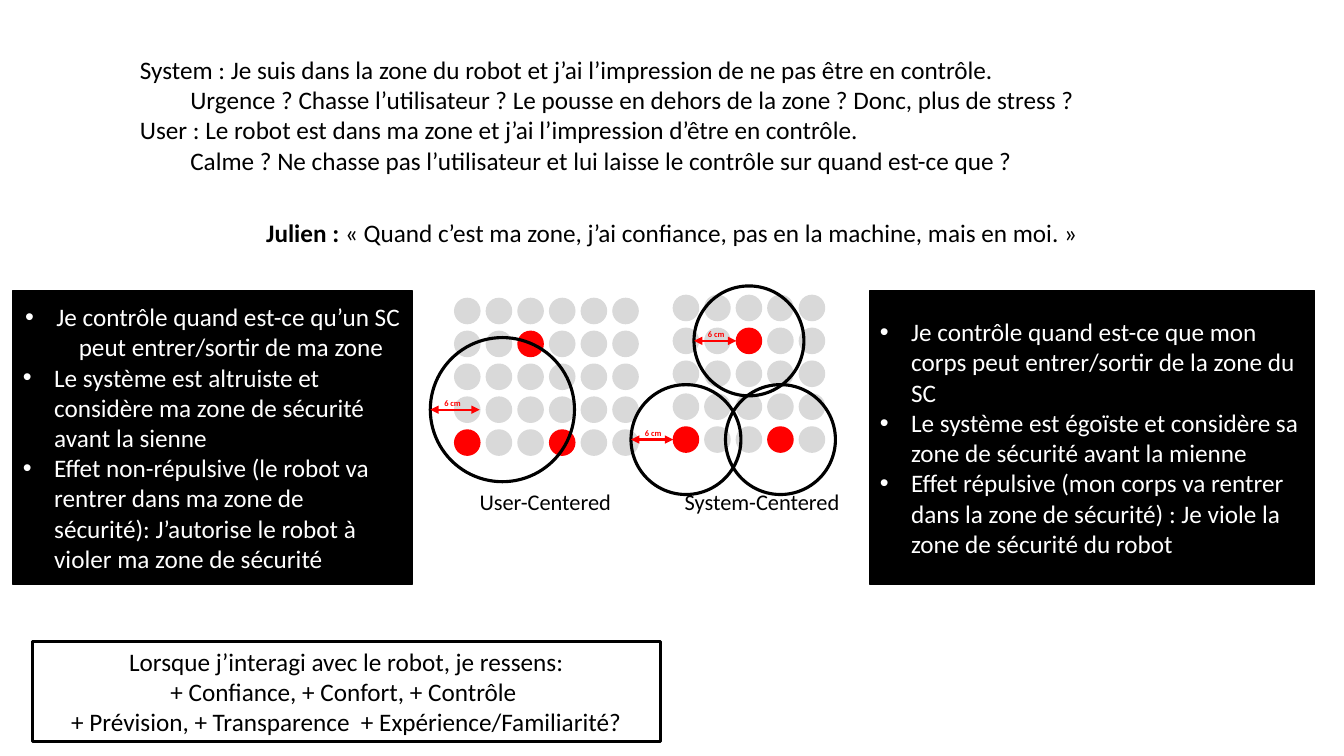
from dataclasses import dataclass

from lxml import etree
from pptx import Presentation, util as u
from pptx.dml.color import RGBColor
from pptx.enum import shapes, text
from pptx.oxml.ns import qn


@dataclass(frozen=True)
class Theme:
    font: str = "Calibri"
    black: RGBColor = RGBColor(0, 0, 0)
    white: RGBColor = RGBColor(255, 255, 255)
    grey: RGBColor = RGBColor(0xD9, 0xD9, 0xD9)
    red: RGBColor = RGBColor(255, 0, 0)
    body: int = 18
    caption: int = 16
    label: int = 6
    thin: float = 1
    arrow: float = 1.5
    thick: float = 2.25


THEME = Theme()
WIDTH, HEIGHT = u.Inches(13.33), u.Inches(7.5)
DOT = u.Inches(0.25)
INDENT = u.Inches(0.31)
CENTER, LEFT = text.PP_ALIGN.CENTER, text.PP_ALIGN.LEFT
MIDDLE, TOP = text.MSO_ANCHOR.MIDDLE, text.MSO_ANCHOR.TOP


def box(left, top, width, height):
    """Turn percentages of the slide into lengths."""
    return tuple(int(share * side / 100) for share, side in
                 zip((left, top, width, height), (WIDTH, HEIGHT) * 2))


def set_values(target, values):
    for name, value in values.items():
        setattr(target, name, value)


def add_bullet(paragraph):
    properties = paragraph._p.get_or_add_pPr()
    properties.set("marL", str(INDENT))
    properties.set("indent", str(-INDENT))
    etree.SubElement(properties, qn("a:buFont"), typeface="Arial")
    etree.SubElement(properties, qn("a:buChar"), char="•")


def write(shape, lines, color=THEME.black, size=THEME.body, align=LEFT,
          anchor=TOP, wrap=True, bullets=False):
    """Each line is a text, or a list of (text, bold) runs."""
    frame = shape.text_frame
    set_values(frame, {"word_wrap": wrap, "vertical_anchor": anchor})
    for index, line in enumerate(lines):
        paragraph = frame.add_paragraph() if index else frame.paragraphs[0]
        if bullets:
            add_bullet(paragraph)
        paragraph.alignment = align
        for words, bold in [(line, False)] if isinstance(line, str) else line:
            run = paragraph.add_run()
            run.text = words
            set_values(run.font, {"name": THEME.font, "size": u.Pt(size),
                                  "bold": bold})
            run.font.color.rgb = color
    return frame


def add_figure(parent, kind, area, line, width, fill=None):
    shape = parent.add_shape(kind, *area)
    shape.shadow.inherit = False
    if fill is None:
        shape.fill.background()
    else:
        shape.fill.solid()
        shape.fill.fore_color.rgb = fill
    shape.line.color.rgb = line
    shape.line.width = u.Pt(width)
    return shape


def add_distance(parent, left, middle, length):
    """Double arrow with its distance written above."""
    arrow = parent.add_connector(shapes.MSO_CONNECTOR.STRAIGHT,
                                 left, middle, left + length, middle)
    arrow.line.color.rgb = THEME.red
    arrow.line.width = u.Pt(THEME.arrow)
    properties = arrow.element.find(qn("p:spPr"))
    outline = properties.find(qn("a:ln"))
    for end in ("a:headEnd", "a:tailEnd"):
        etree.SubElement(outline, qn(end), type="triangle")
    etree.SubElement(properties, qn("a:effectLst"))
    label = parent.add_textbox(left + u.Inches(0.04), middle - u.Inches(0.165),
                               u.Inches(0.38), u.Inches(0.2))
    write(label, [[("6 cm", True)]], THEME.red, THEME.label, wrap=False)


def add_diagram(slide, area, columns, rows, robots, zones, radius, reach,
                measured, caption, caption_area):
    """Dot grid; robots and zone centres are (column, row)."""
    left, top, width, height = area
    parent = slide.shapes.add_group_shape().shapes
    step_x = (width - DOT) / (columns - 1)
    step_y = (height - DOT) / (rows - 1)
    oval = shapes.MSO_SHAPE.OVAL

    # Dots, with the robots in red
    for row in range(rows):
        for column in range(columns):
            color = THEME.red if (column, row) in robots else THEME.grey
            place = int(left + column * step_x), int(top + row * step_y)
            add_figure(parent, oval, (*place, DOT, DOT), color, THEME.thin, color)

    # Safety zones and their radius
    for column, row in zones:
        x = int(left + DOT / 2 + column * step_x)
        y = int(top + DOT / 2 + row * step_y)
        add_figure(parent, oval, (x - radius, y - radius, 2 * radius, 2 * radius),
                   THEME.black, THEME.thick)
        if (column, row) in measured:
            add_distance(parent, x - radius, y, reach)

    # Caption
    write(parent.add_textbox(*caption_area), [caption], size=THEME.caption,
          align=CENTER, anchor=MIDDLE)


def add_text(slide, area, lines, **style):
    write(slide.shapes.add_textbox(*area), lines, **style)


def add_panel(slide, area, lines):
    """Black panel with bullets."""
    panel = add_figure(slide.shapes, shapes.MSO_SHAPE.RECTANGLE, area,
                       THEME.black, THEME.thin, THEME.black)
    return write(panel, lines, THEME.white, anchor=MIDDLE, bullets=True)


def add_question(slide, area, lines):
    """Outlined box with centred text."""
    frame = add_figure(slide.shapes, shapes.MSO_SHAPE.RECTANGLE, area,
                       THEME.black, THEME.thick)
    write(frame, lines, align=CENTER, anchor=MIDDLE)


def main():
    presentation = Presentation()
    set_values(presentation, {"slide_width": WIDTH, "slide_height": HEIGHT})
    slide = presentation.slides.add_slide(presentation.slide_layouts[6])

    # Impressions
    add_text(slide, box(9.67, 6.53, 101.25, 17.47), [
        "System : Je suis dans la zone du robot et j’ai l’impression de ne pas être en contrôle.",
        "\tUrgence ? Chasse l’utilisateur ? Le pousse en dehors de la zone ? Donc, plus de stress ?",
        "User : Le robot est dans ma zone et j’ai l’impression d’être en contrôle.",
        "\tCalme ? Ne chasse pas l’utilisateur et lui laisse le contrôle sur quand est-ce que ?",
    ])

    # Diagrams
    add_diagram(slide, box(33.83, 39.47, 13.65, 20.74), 6, 5,
                robots={(2, 1), (0, 4), (3, 4)}, zones=[(1.11, 3)],
                radius=u.Inches(0.715), reach=u.Inches(0.49),
                measured={(1.11, 3)}, caption="User-Centered",
                caption_area=box(34.65, 63.87, 11.85, 4.93))
    system_robots = [(2, 1), (0, 4), (3, 4)]
    add_diagram(slide, box(50.1, 39.07, 11.25, 20.74), 5, 5,
                robots=system_robots, zones=system_robots,
                radius=u.Inches(0.545), reach=u.Inches(0.42),
                measured=system_robots[:2], caption="System-Centered",
                caption_area=box(50.03, 63.87, 13.35, 4.93))

    # Quote
    add_text(slide, box(0, 28.13, 100, 5.33), [[
        ("Julien : ", True),
        ("« Quand c’est ma zone, j’ai confiance, pas en la machine, mais en moi. »", False),
    ]], align=CENTER)

    # Panels on either side
    user_panel = add_panel(slide, box(0.97, 38.4, 29.7, 38.93), [
        "Je contrôle quand est-ce qu’un SC  peut entrer/sortir de ma zone",
        "Le système est altruiste et considère ma zone de sécurité avant la sienne",
        "Effet non-répulsive (le robot va rentrer dans ma zone de sécurité): "
        "J’autorise le robot à violer ma zone de sécurité",
    ])
    user_panel.paragraphs[0].alignment = CENTER
    add_panel(slide, box(64.73, 38.4, 33.08, 38.93), [
        "Je contrôle quand est-ce que mon corps peut entrer/sortir de la zone du SC",
        "Le système est égoïste et considère sa zone de sécurité avant la mienne",
        "Effet répulsive (mon corps va rentrer dans la zone de sécurité) : "
        "Je viole la zone de sécurité du robot",
    ])

    # Closing question
    add_question(slide, box(2.4, 84.8, 46.73, 13.33), [
        "Lorsque j’interagi avec le robot, je ressens:",
        "+ Confiance, + Confort, + Contrôle ",
        "+ Prévision, + Transparence  + Expérience/Familiarité?",
    ])
    presentation.save("out.pptx")


if __name__ == "__main__":
    main()
